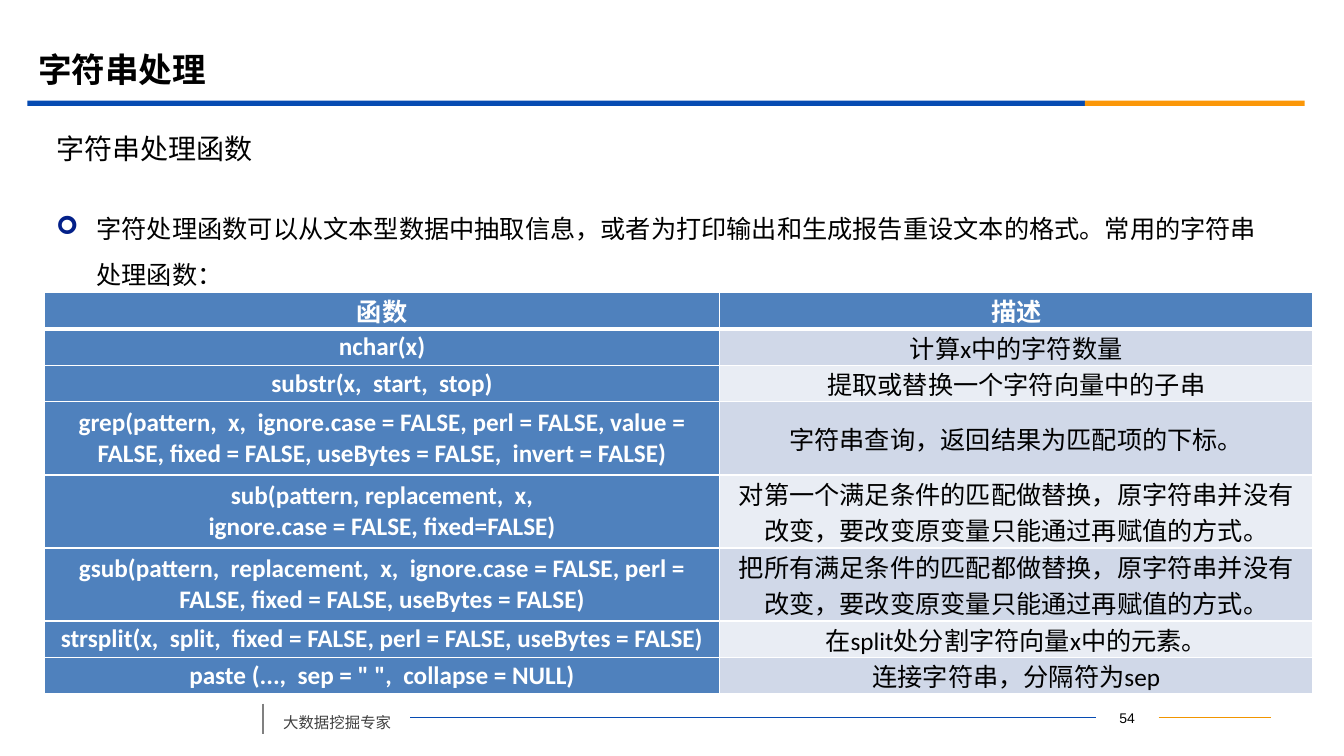
from lxml.etree import SubElement
from pptx import Presentation
from pptx.dml.color import RGBColor
from pptx.enum.shapes import MSO_CONNECTOR as Link, MSO_SHAPE as Shape
from pptx.enum.text import MSO_ANCHOR as Anchor, PP_ALIGN as Align
from pptx.oxml import parse_xml
from pptx.oxml.ns import nsdecls, qn
from pptx.util import Inches, Pt

CJK = "Noto Sans CJK SC"
BLUE, ORANGE, WHITE, BLACK = "064BB2", "FB9708", "FFFFFF", "000000"
HEADER, BANDS = "4F81BD", ("D0D8E8", "E9EDF4")
RIGHT, LEFT = 3, 1

FUNCTIONS = [
    ("函数", "描述", 1),
    ("nchar(x)", "计算x中的字符数量", 1),
    ("substr(x,  start,  stop)", "提取或替换一个字符向量中的子串", 1),
    ("grep(pattern,  x,  ignore.case = FALSE, perl = FALSE, value = FALSE, "
     "fixed = FALSE, useBytes = FALSE,  invert = FALSE)",
     "字符串查询，返回结果为匹配项的下标。", 2),
    ("sub(pattern, replacement,  x,\nignore.case = FALSE, fixed=FALSE)",
     "对第一个满足条件的匹配做替换，原字符串并没有改变，要改变原变量只能通过再赋值的方式。", 2),
    ("gsub(pattern,  replacement,  x,  ignore.case = FALSE, perl = FALSE, "
     "fixed = FALSE, useBytes = FALSE)",
     "把所有满足条件的匹配都做替换，原字符串并没有改变，要改变原变量只能通过再赋值的方式。", 2),
    ("strsplit(x,  split,  fixed = FALSE, perl = FALSE, useBytes = FALSE)",
     "在split处分割字符向量x中的元素。", 1),
    ('paste (...,  sep = " ",  collapse = NULL)', "连接字符串，分隔符为sep", 1),
]


def color(value):
    return RGBColor.from_string(value)


def write(frame, text, size=18, font=CJK, ink=BLACK, bold=False,
          align=Align.LEFT, spacing=None, before=0, bullet=None):
    frame.word_wrap = True
    frame.text = text
    for paragraph in frame.paragraphs:
        paragraph.alignment = align
        paragraph.line_spacing = spacing
        paragraph.space_before = Pt(before)
        run = paragraph.runs[0]
        run.font.size, run.font.name, run.font.bold = Pt(size), font, bold
        run.font.color.rgb = color(ink)
        SubElement(run.font._element, qn("a:ea"), typeface=CJK)
        if bullet:
            symbol, tint, indent = bullet
            props = paragraph._p.get_or_add_pPr()
            props.set("marL", str(Inches(indent)))
            props.set("indent", str(-Inches(indent)))
            tone = SubElement(props, qn("a:buClr"))
            SubElement(tone, qn("a:srgbClr"), val=tint)
            SubElement(props, qn("a:buFont"), typeface="Wingdings")
            SubElement(props, qn("a:buChar"), char=symbol)


class Page:
    def __init__(self, deck):
        self.column = deck.slide_width / 100
        self.row = deck.slide_height / 100
        self.shapes = deck.slides.add_slide(deck.slide_layouts[6]).shapes

    def area(self, left, top, width, height):
        return (round(left * self.column), round(top * self.row),
                round(width * self.column), round(height * self.row))

    def text(self, area, words, anchor=Anchor.TOP, **style):
        box = self.shapes.add_textbox(*self.area(*area))
        box.text_frame.vertical_anchor = anchor
        write(box.text_frame, words, **style)
        return box

    def bar(self, area, fill):
        bar = self.shapes.add_shape(Shape.RECTANGLE, *self.area(*area))
        bar.shadow.inherit = False
        bar.fill.solid()
        bar.fill.fore_color.rgb = color(fill)
        bar.line.fill.background()

    def rule(self, start, end, ink, weight, begin=None, finish=None):
        rule = self.shapes.add_connector(
            Link.STRAIGHT, *self.area(*start, *end))
        if begin:
            rule.begin_connect(*begin)
        if finish:
            rule.end_connect(*finish)
        rule.line.color.rgb = color(ink)
        rule.line.width = Pt(weight)
        SubElement(rule._element.spPr, qn("a:effectLst"))

    def cell(self, cell, words, fill, heading, bottom):
        cell.fill.solid()
        cell.fill.fore_color.rgb = color(fill)
        cell.vertical_anchor = Anchor.MIDDLE
        cell.margin_left = cell.margin_right = Inches(0.08)
        cell.margin_top = cell.margin_bottom = 0
        write(cell.text_frame, words, font="Calibri", bold=heading,
              ink=WHITE if heading else BLACK, align=Align.CENTER)
        edges = [("L", 1), ("R", 1), ("T", 1), ("B", bottom)]
        for place, (side, weight) in enumerate(edges):
            cell._tc.get_or_add_tcPr().insert(place, parse_xml(
                f'<a:ln{side} {nsdecls("a")} w="{Pt(weight)}"><a:solidFill>'
                f'<a:srgbClr val="{WHITE}"/></a:solidFill></a:ln{side}>'))

    def table(self, left, top, widths, line, records):
        height = line * sum(lines for _, _, lines in records)
        grid = self.shapes.add_table(
            len(records), len(widths),
            *self.area(left, top, sum(widths), height)).table
        for column, width in zip(grid.columns, widths):
            column.width = round(width * self.column)
        for index, (name, meaning, lines) in enumerate(records):
            grid.rows[index].height = round(lines * line * self.row)
            header = index == 0
            bottom = 3 if header else 1
            band = HEADER if header else BANDS[(index - 1) % 2]
            self.cell(grid.cell(index, 0), name, HEADER, True, bottom)
            self.cell(grid.cell(index, 1), meaning, band, header, bottom)


def main():
    deck = Presentation()
    deck.slide_width, deck.slide_height = Inches(13.33), Inches(7.5)
    page = Page(deck)

    number = page.text((81.55, 93.27, 4.65, 3.32), "54", size=10,
                       font="Arial", align=Align.CENTER, anchor=Anchor.MIDDLE)
    footer = page.text((20.33, 92.4, 10.2, 5.06), "大数据挖掘专家", size=11,
                       ink="404040", spacing=1.5, before=6)
    page.rule((86.2, 94.93), (94.6, 94.93), "F19500", 0.75,
              begin=(number, RIGHT))
    page.rule((30.53, 94.93), (81.55, 94.93), BLUE, 0.75,
              begin=(footer, RIGHT), finish=(number, LEFT))
    page.rule((19.58, 93.07), (19.58, 97.07), "808080", 1.25)
    page.bar((2.03, 13.33, 78.69, 0.67), BLUE)
    page.bar((80.72, 13.33, 16.35, 0.67), ORANGE)

    page.text((3.45, 25.6, 91.15, 63.73),
              "字符处理函数可以从文本型数据中抽取信息，或者为打印输出和生成报告重设文本的格式。"
              "常用的字符串处理函数：",
              spacing=1.5, before=10, bullet=("➢", "032089", 0.4))
    page.text((2.1, 5.2, 90.02, 7.73), "字符串处理", size=24, bold=True,
              anchor=Anchor.MIDDLE)
    page.text((3.45, 16.53, 91.15, 6.27), "字符串处理函数", size=20, before=4,
              anchor=Anchor.MIDDLE)
    page.table(3.3, 38.67, (50.26, 44.11), 4.83, FUNCTIONS)

    deck.save("out.pptx")


if __name__ == "__main__":
    main()
